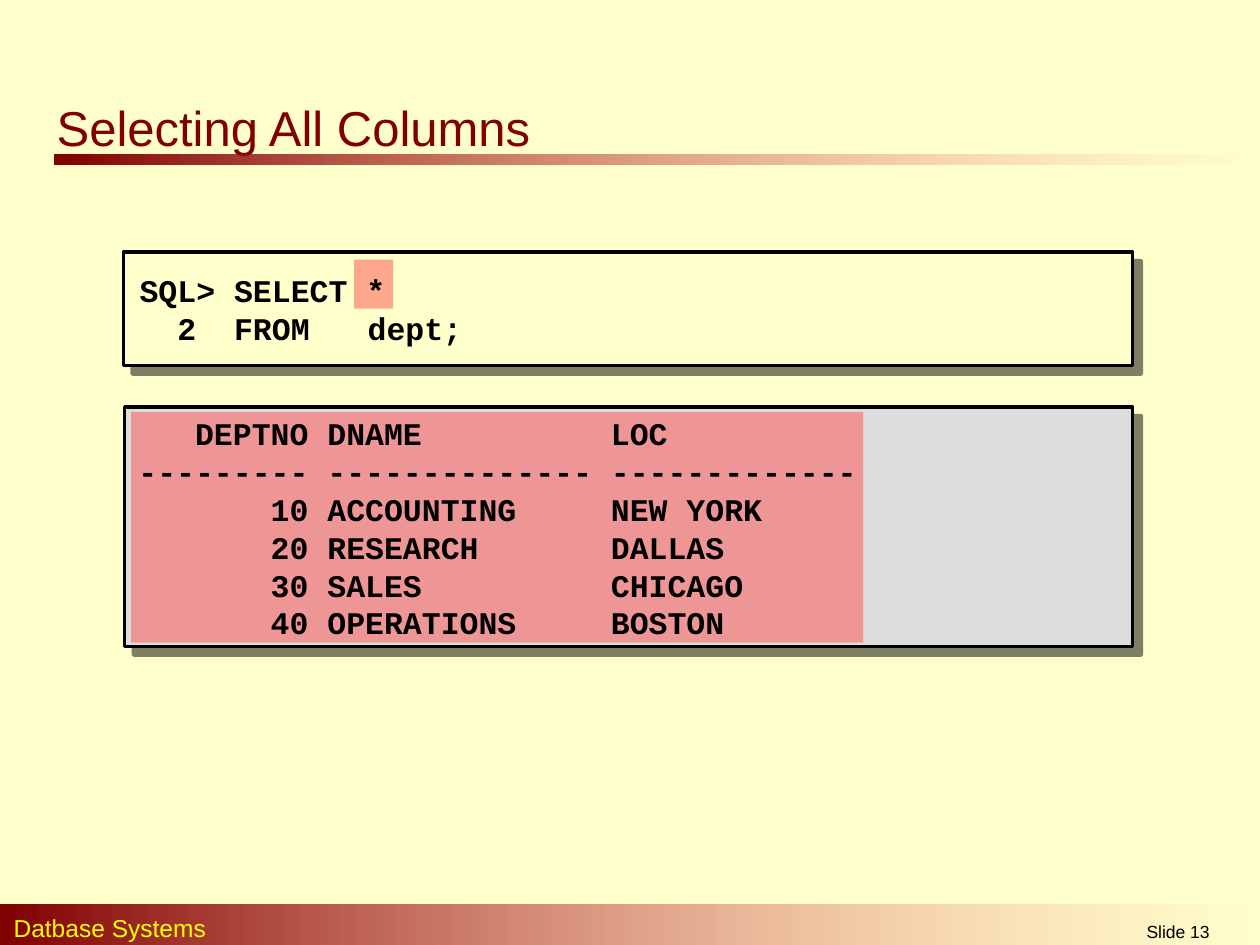
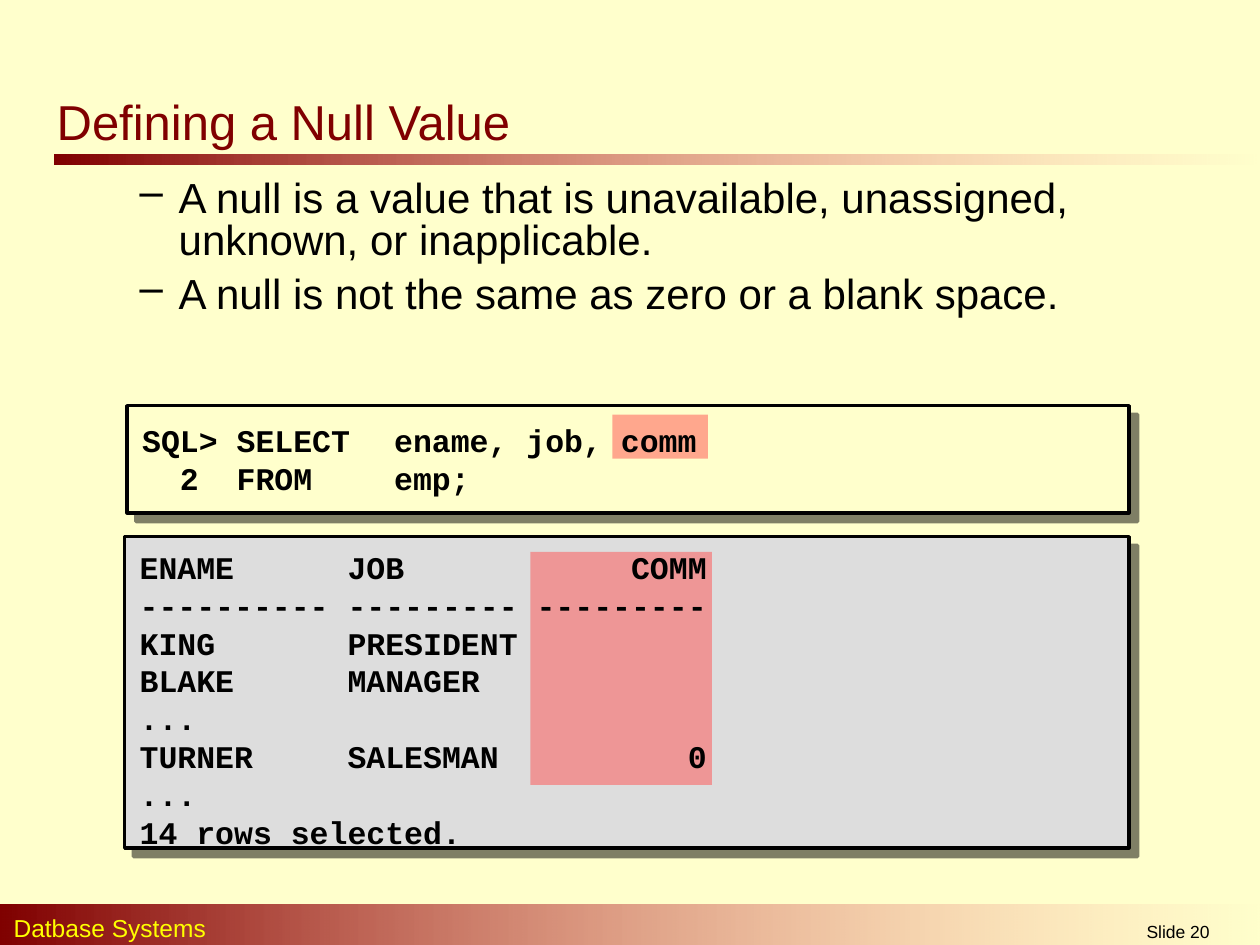
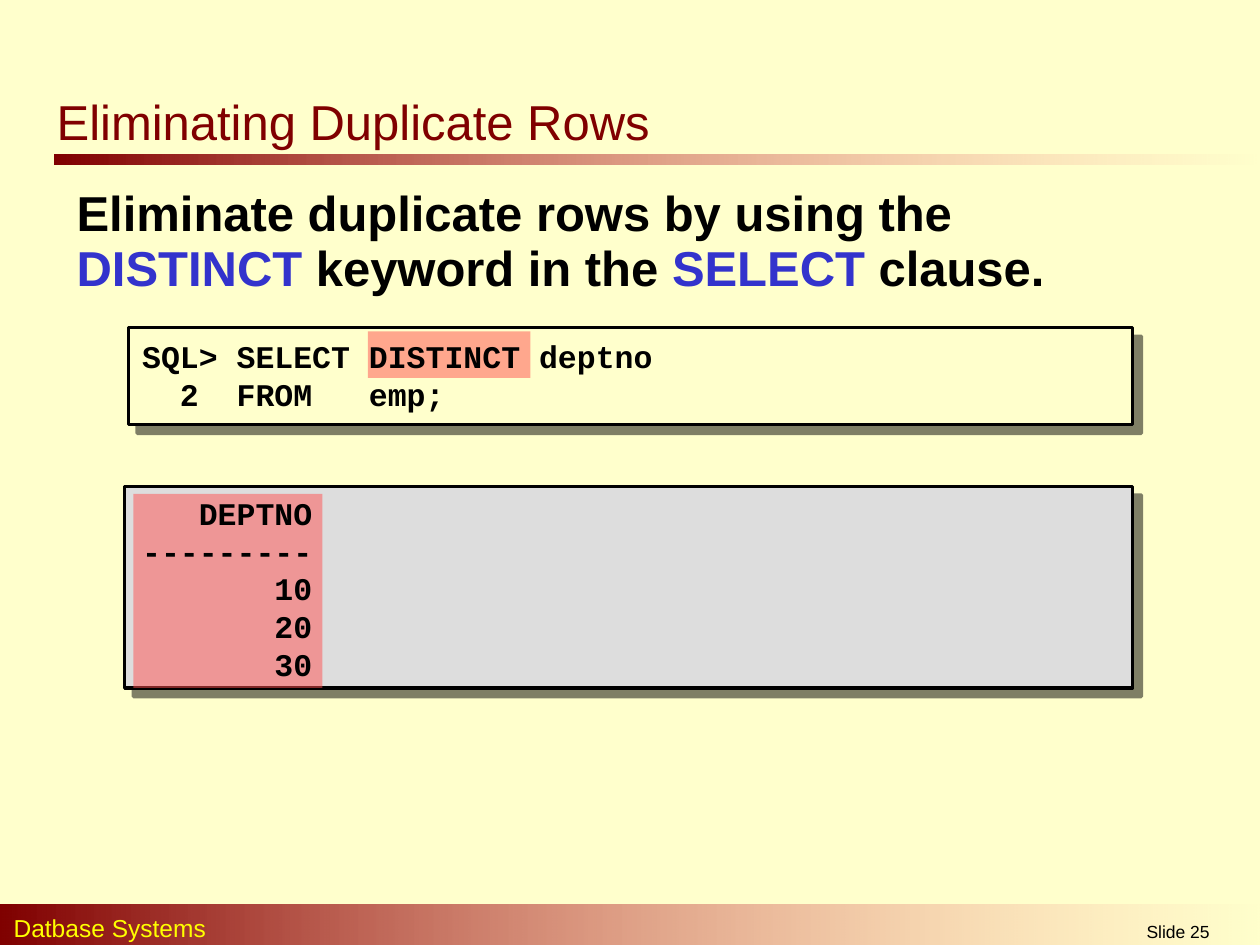
from lxml import etree
from pptx import Presentation
from pptx.dml.color import RGBColor
from pptx.enum.shapes import MSO_SHAPE
from pptx.enum.text import MSO_ANCHOR, MSO_AUTO_SIZE, PP_ALIGN
from pptx.oxml.ns import qn
from pptx.util import Inches, Pt

RECTANGLE = MSO_SHAPE.RECTANGLE
TOP, MIDDLE = MSO_ANCHOR.TOP, MSO_ANCHOR.MIDDLE
NO_AUTOFIT = MSO_AUTO_SIZE.NONE
LEFT, CENTER = PP_ALIGN.LEFT, PP_ALIGN.CENTER
TITLE_ONLY = 5

CREAM, MAROON, ROSE = "FFFFCC", "800000", "FF8585"
GREY, RED, BLUE = "DDDDDD", "FF5050", "3333CC"
BLACK, YELLOW = "000000", "FFFF00"
SANS, MONO = "Arial", "Courier New"


def color(hex_code):
    return RGBColor.from_string(hex_code)


def inches(place):
    return [Inches(length) for length in place]


def add_xml(parent, tag, **attributes):
    return etree.SubElement(parent, qn(tag), attributes)


def set_last_alpha(shape, percent):
    """Set the opacity of the last colour in the shape's fill."""
    last = list(shape._element.spPr.iter(qn("a:srgbClr")))[-1]
    add_xml(last, "a:alpha", val=str(percent * 1000))


class SqlDeck:
    def __init__(self):
        self.deck = Presentation()
        self.deck.slide_width, self.deck.slide_height = inches((10, 7.5))
        background = self.deck.slide_master.background.fill
        background.solid()
        background.fore_color.rgb = color(CREAM)
        self.page = None

    def new_page(self, number, title, title_place):
        layout = self.deck.slide_layouts[TITLE_ONLY]
        self.page = self.deck.slides.add_slide(layout)
        self.band((0.43, 1.23, 9.57, 0.08))
        self.band((0, 7.18, 10.03, 0.35))
        self.text((0.01, 7.2, 6.4, 0.34), [[("Datbase Systems", YELLOW)]], 14)
        self.text((8.31, 7.26, 2.08, 0.24), [[(f"Slide {number}", BLACK)]],
                  10, align=CENTER)
        box = self.page.shapes.title
        box.left, box.top, box.width, box.height = inches(title_place)
        self.fill_frame(box.text_frame, [[(title, MAROON)]], 28)

    def rectangle(self, place):
        shape = self.page.shapes.add_shape(RECTANGLE, *inches(place))
        shape.shadow.inherit = False
        shape.line.fill.background()
        return shape

    def band(self, place):
        """Draw a bar that fades out to the right."""
        bar = self.rectangle(place)
        bar.fill.gradient()
        bar.fill.gradient_angle = 0
        for stop, shade in zip(bar.fill.gradient_stops, (MAROON, ROSE)):
            stop.color.rgb = color(shade)
        set_last_alpha(bar, 0)

    def panel(self, place, shade):
        """Draw a framed box with a hard drop shadow."""
        shape = self.rectangle(place)
        shape.fill.solid()
        shape.fill.fore_color.rgb = color(shade)
        shape.line.color.rgb = color(BLACK)
        shape.line.width = Pt(2)
        effects = shape._element.spPr.find(qn("a:effectLst"))
        shadow = add_xml(effects, "a:outerShdw", blurRad="0",
                         dist=str(Pt(7.1)), dir="2700000", algn="ctr",
                         rotWithShape="0")
        shadow_color = add_xml(shadow, "a:srgbClr", val=BLACK)
        add_xml(shadow_color, "a:alpha", val="50000")

    def highlight(self, place):
        shape = self.rectangle(place)
        shape.fill.solid()
        shape.fill.fore_color.rgb = color(RED)
        set_last_alpha(shape, 50)

    def fill_frame(self, frame, paragraphs, size, font=SANS, bold=False,
                   align=LEFT, anchor=TOP, spacing=None, bullet=None, tabs=()):
        """Fill a frame; each paragraph is a list of (text, colour) runs."""
        frame.word_wrap = True
        frame.auto_size = NO_AUTOFIT
        frame.vertical_anchor = anchor
        for index, runs in enumerate(paragraphs):
            para = frame.add_paragraph() if index else frame.paragraphs[0]
            properties = para._p.get_or_add_pPr()
            if bullet:
                properties.set("marL", str(Inches(0.81)))
                properties.set("indent", str(Inches(-0.31)))
                add_xml(properties, "a:buChar", char=bullet)
            if tabs:
                tab_list = add_xml(properties, "a:tabLst")
                for stop in tabs:
                    add_xml(tab_list, "a:tab", pos=str(Inches(stop)), algn="l")
            para.alignment = align
            if spacing:
                para.line_spacing = spacing
            if bullet and index:
                para.space_before = Pt(6)
            for words, shade in runs:
                span = para.add_run()
                span.text = words
                span.font.name = font
                span.font.size = Pt(size)
                span.font.bold = bold
                span.font.color.rgb = color(shade)

    def text(self, place, paragraphs, size, **style):
        box = self.page.shapes.add_textbox(*inches(place))
        self.fill_frame(box.text_frame, paragraphs, size, **style)

    def code(self, place, lines, **style):
        self.text(place, [[(line, BLACK)] for line in lines], 18,
                  font=MONO, bold=True, **style)


def add_all_columns(show):
    show.new_page(13, "Selecting All Columns", (0.35, 0.72, 4.13, 0.43))
    show.panel((0.99, 3.23, 8, 1.9), GREY)
    show.panel((0.98, 2, 8.01, 0.9), CREAM)
    show.highlight((2.81, 2.06, 0.31, 0.39))
    show.highlight((1.04, 3.27, 5.81, 1.83))
    show.code((1, 3.24, 7.97, 1.9), [
        "   DEPTNO DNAME          LOC",
        "--------- -------------- -------------",
        "       10 ACCOUNTING     NEW YORK",
        "       20 RESEARCH       DALLAS",
        "       30 SALES          CHICAGO",
        "       40 OPERATIONS     BOSTON",
    ])
    show.code((1.01, 1.99, 7.96, 0.93),
              ["SQL> SELECT *", "  2  FROM \tdept;"],
              anchor=MIDDLE, tabs=(1.31, 1.81))


def add_null_value(show):
    show.new_page(20, "Defining a Null Value", (0.35, 0.68, 4.02, 0.51))
    show.panel((1.01, 3.22, 7.95, 0.85), CREAM)
    show.panel((0.99, 4.26, 7.97, 2.47), GREY)
    facts = ["A null is a value that is unavailable, unassigned, "
             "unknown, or inapplicable.",
             "A null is not the same as zero or a blank space."]
    show.text((0.51, 1.37, 8.98, 1.21), [[(fact, BLACK)] for fact in facts],
              24, spacing=0.85, bullet="–")
    show.highlight((4.86, 3.29, 0.76, 0.35))
    show.highlight((4.21, 4.38, 1.44, 1.85))
    show.code((1.03, 3.2, 7.97, 0.88),
              ["SQL> SELECT \tename, job, comm", "  2  FROM\t\temp;"],
              anchor=MIDDLE, tabs=(1.75, 2))
    show.code((1.01, 4.3, 7.95, 2.5), [
        "ENAME      JOB            COMM",
        "---------- --------- ---------",
        "KING       PRESIDENT",
        "BLAKE      MANAGER",
        "...",
        "TURNER     SALESMAN          0",
        "...",
        "14 rows selected.",
    ])


def add_duplicate_rows(show):
    show.new_page(25, "Eliminating Duplicate Rows", (0.35, 0.68, 5, 0.59))
    show.panel((1.02, 2.6, 7.97, 0.77), CREAM)
    show.panel((0.99, 3.86, 8, 1.6), GREY)
    show.text((0.51, 1.43, 8.49, 0.99), [[
        ("Eliminate duplicate rows by using the ", BLACK),
        ("DISTINCT", BLUE),
        (" keyword in the ", BLACK),
        ("SELECT", BLUE),
        (" clause.", BLACK),
    ]], 28, bold=True, spacing=0.95)
    show.highlight((2.92, 2.63, 1.29, 0.37))
    show.highlight((1.06, 3.92, 1.5, 1.54))
    show.code((1.03, 2.58, 8, 0.79),
              ["SQL> SELECT DISTINCT deptno", "  2  FROM   emp;"],
              anchor=MIDDLE)
    show.code((1.03, 3.87, 7.97, 1.9), [
        "   DEPTNO",
        "---------",
        "       10",
        "       20",
        "       30",
    ])


def main():
    show = SqlDeck()
    add_all_columns(show)
    add_null_value(show)
    add_duplicate_rows(show)
    show.deck.save("out.pptx")


if __name__ == "__main__":
    main()
